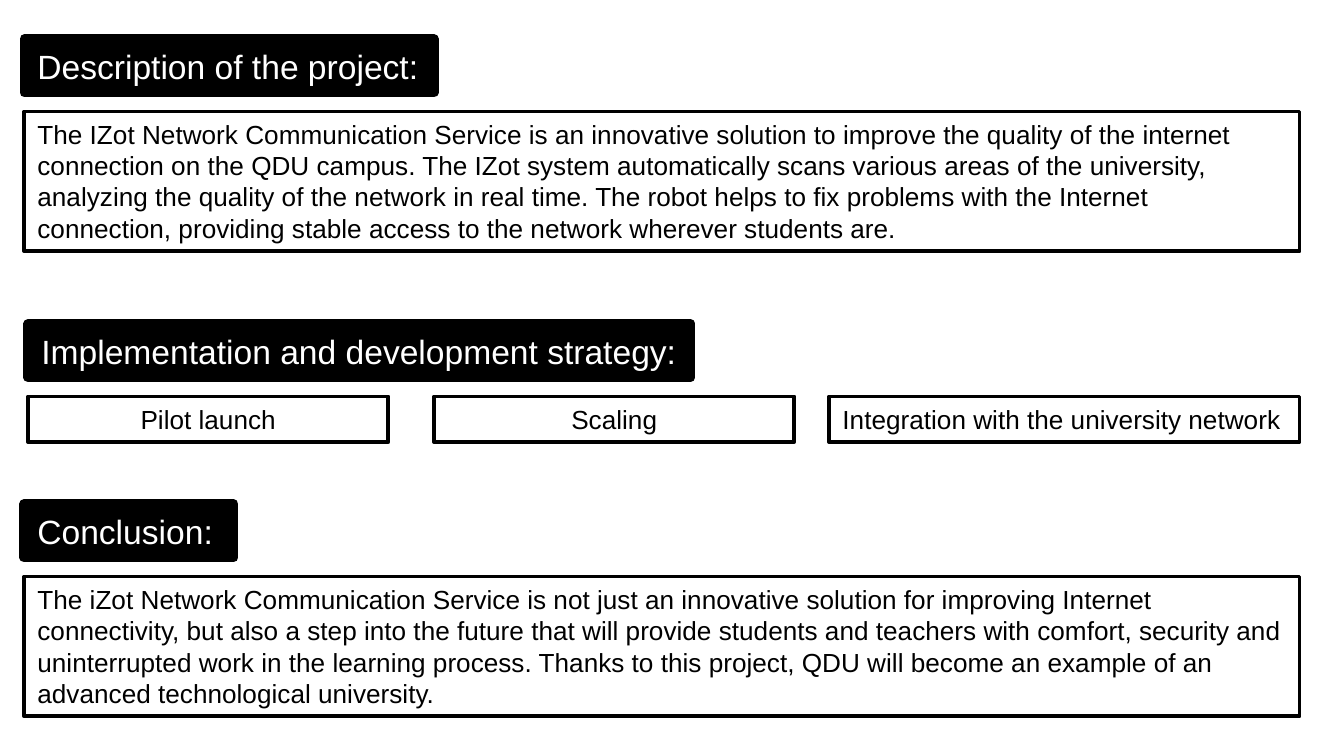
"""Build a slide with a project description, its strategy and a conclusion."""
from dataclasses import dataclass

import pptx
import pptx.dml.color
import pptx.enum.text
import pptx.util
from pptx.util import Inches


@dataclass(frozen=True)
class Theme:
    """Colours, font and sizes of the slide."""
    ink: str = "000000"
    paper: str = "FFFFFF"
    font: str = "Arial"
    heading_size: int = 18
    body_size: int = 14
    heading_line: int = 5
    body_line: int = 2


THEME = Theme()
SLIDE_WIDTH = 10
LEFT = 0.18
STRATEGY_LEFT = 0.21
FULL_WIDTH = 9.49
HEADING_HEIGHT = 0.4
BODY_GAP = 0.54
BODY_HEIGHT = 1.04
STEP_HEIGHT = 0.34

DESCRIPTION = (
    "The IZot Network Communication Service is an innovative solution to improve "
    "the quality of the internet connection on the QDU campus. The IZot system "
    "automatically scans various areas of the university, analyzing the quality of "
    "the network in real time. The robot helps to fix problems with the Internet "
    "connection, providing stable access to the network wherever students are."
)
CONCLUSION = (
    "The iZot Network Communication Service is not just an innovative solution for "
    "improving Internet connectivity, but also a step into the future that will "
    "provide students and teachers with comfort, security and uninterrupted work in "
    "the learning process. Thanks to this project, QDU will become an example of an "
    "advanced technological university."
)
SECTIONS = [
    ("Description of the project:", 0.29, 3.05, DESCRIPTION),
    ("Conclusion:", 3.75, 1.56, CONCLUSION),
]
STRATEGY_TOP = 2.41
STEPS = [
    ("Pilot launch", STRATEGY_LEFT, 2.68, True),
    ("Scaling", 3.23, 2.68, True),
    ("Integration with the university network", 6.17, 3.5, False),
]


def rgb(code):
    """Return the colour for a hex code."""
    return pptx.dml.color.RGBColor.from_string(code)


def write_text(frame, text, *, size, color, centered=False):
    """Put one formatted paragraph into a text frame."""
    frame.word_wrap = True
    frame.auto_size = pptx.enum.text.MSO_AUTO_SIZE.SHAPE_TO_FIT_TEXT
    paragraph = frame.paragraphs[0]
    align = pptx.enum.text.PP_ALIGN
    paragraph.alignment = align.CENTER if centered else align.LEFT
    run = paragraph.add_run()
    run.text = text
    run.font.name = THEME.font
    run.font.size = pptx.util.Pt(size)
    run.font.color.rgb = rgb(color)


def add_frame(slide, left, top, width, height, line_width):
    """Add an outlined text box."""
    frame = slide.shapes.add_textbox(
        Inches(left), Inches(top), Inches(width), Inches(height))
    frame.line.color.rgb = rgb(THEME.ink)
    frame.line.width = pptx.util.Pt(line_width)
    return frame


def add_heading(slide, text, left, top, width):
    """Add a dark heading label."""
    label = add_frame(slide, left, top, width, HEADING_HEIGHT, THEME.heading_line)
    label.fill.solid()
    label.fill.fore_color.rgb = rgb(THEME.ink)
    write_text(label.text_frame, text, size=THEME.heading_size, color=THEME.paper)


def add_body(slide, text, left, top, width, height, centered=False):
    """Add an outlined box with body text."""
    body = add_frame(slide, left, top, width, height, THEME.body_line)
    write_text(body.text_frame, text, size=THEME.body_size, color=THEME.ink,
               centered=centered)


def main():
    """Build and save the slide."""
    deck = pptx.Presentation()
    deck.slide_width = Inches(SLIDE_WIDTH)
    deck.slide_height = Inches(SLIDE_WIDTH * 9 / 16)
    slide = deck.slides.add_slide(deck.slide_layouts[6])

    for heading, top, width, body in SECTIONS:
        add_body(slide, body, LEFT, top + BODY_GAP, FULL_WIDTH, BODY_HEIGHT)
        add_heading(slide, heading, LEFT, top, width)

    add_heading(slide, "Implementation and development strategy:",
                STRATEGY_LEFT, STRATEGY_TOP, 4.93)
    for step, left, width, centered in STEPS:
        add_body(slide, step, left, STRATEGY_TOP + BODY_GAP, width, STEP_HEIGHT,
                 centered)

    deck.save("out.pptx")


if __name__ == "__main__":
    main()
